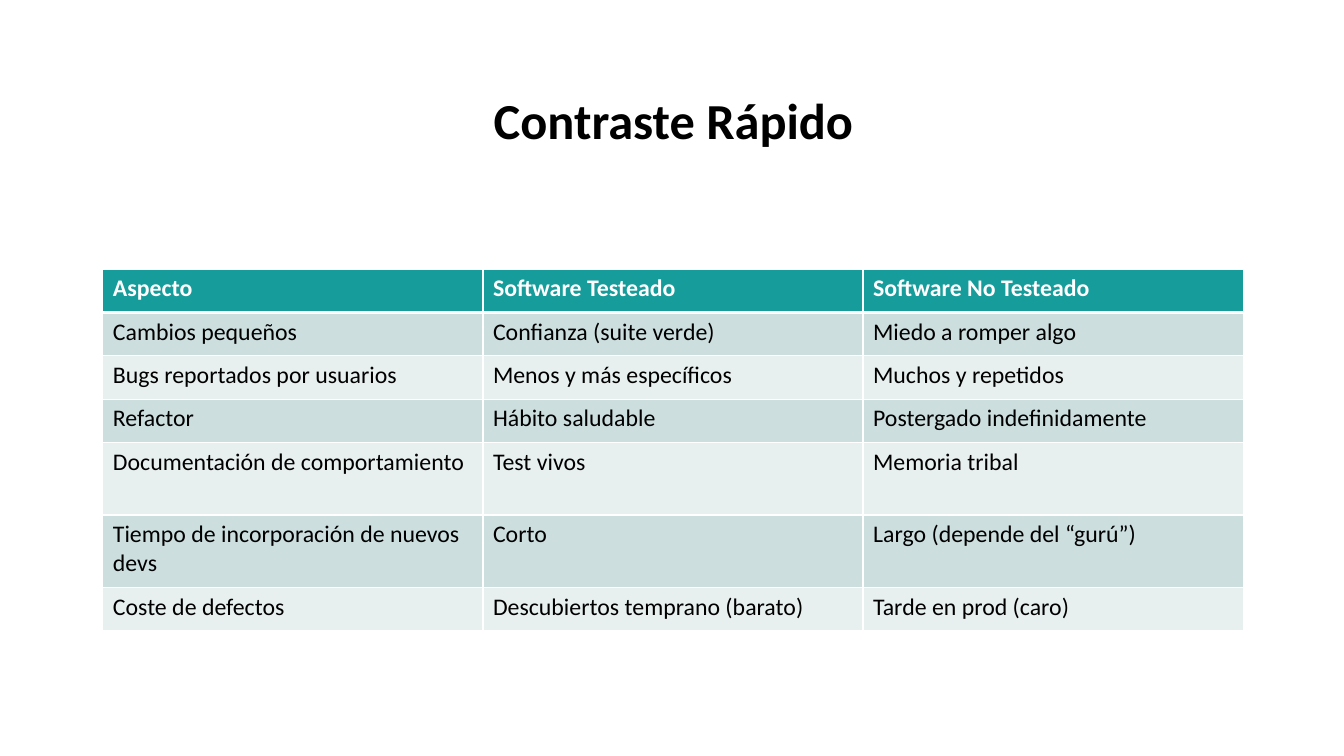
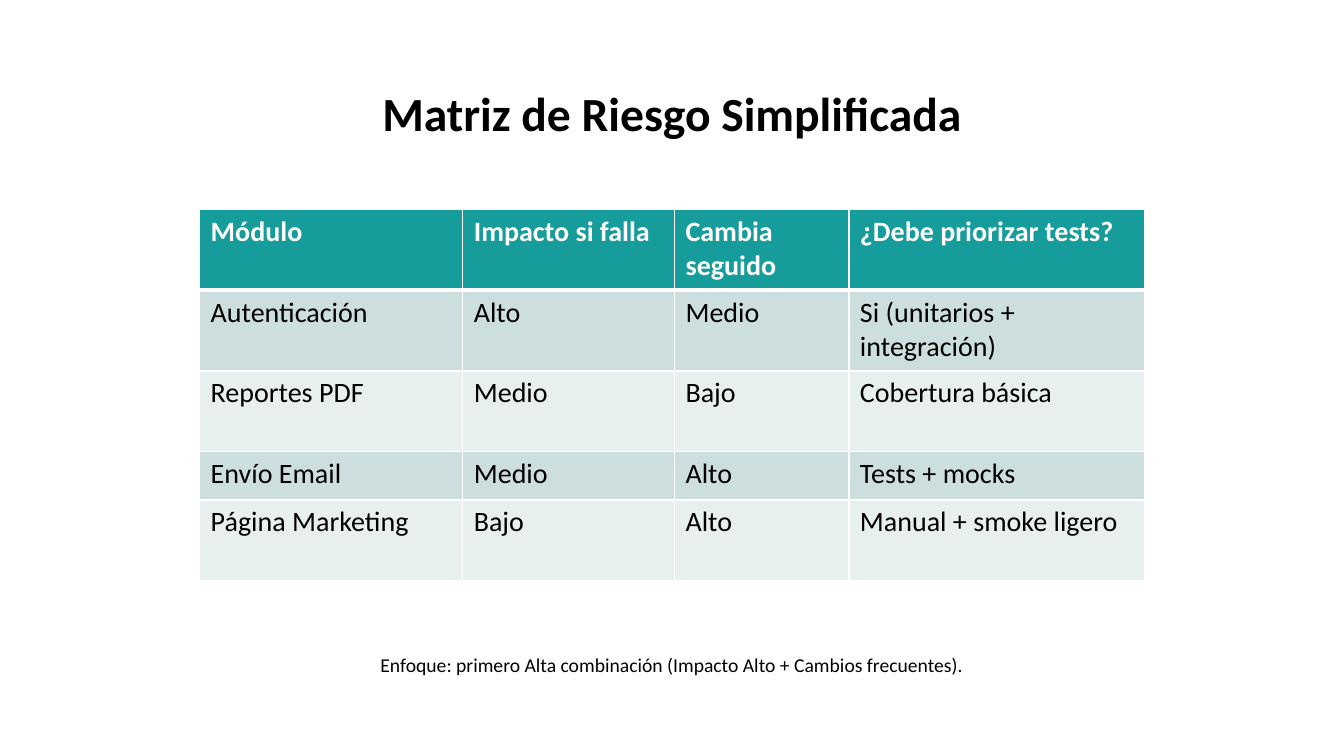
from pptx import Presentation
from pptx.dml.color import RGBColor
from pptx.enum import text
from pptx.oxml import parse_xml
from pptx.oxml.ns import nsdecls
from pptx.util import Inches, Pt

FONT = "Calibri"
BLACK = RGBColor(0x00, 0x00, 0x00)
WHITE = RGBColor(0xFF, 0xFF, 0xFF)
TEAL = RGBColor(0x16, 0x9C, 0x9A)
BANDS = (RGBColor(0xCC, 0xDE, 0xDE), RGBColor(0xE8, 0xEF, 0xEF))
THIN, THICK = Pt(1), Pt(3)

# Content: boxes are left, top, width, height in inches
SLIDES = [
    {
        "title": "Contraste Rápido",
        "title_box": (1.67, 0.6, 10.02, 1.24),
        "title_size": 36,
        "title_anchor": text.MSO_ANCHOR.MIDDLE,
        "table_at": (1.02, 2.67),
        "columns": [3.77] * 3,
        "heights": [0.43, 0.43, 0.43, 0.43, 0.72, 0.72, 0.43],
        "table_size": 17,
        "inset": 0.1,
        "rows": [
            ("Aspecto", "Software Testeado", "Software No Testeado"),
            ("Cambios pequeños", "Confianza (suite verde)", "Miedo a romper algo"),
            ("Bugs reportados por usuarios", "Menos y más específicos", "Muchos y repetidos"),
            ("Refactor", "Hábito saludable", "Postergado indefinidamente"),
            ("Documentación de comportamiento", "Test vivos", "Memoria tribal"),
            ("Tiempo de incorporación de nuevos devs", "Corto", "Largo (depende del “gurú”)"),
            ("Coste de defectos", "Descubiertos temprano (barato)", "Tarde en prod (caro)"),
        ],
    },
    {
        "title": "Matriz de Riesgo Simplificada",
        "title_box": (3.07, 0.39, 7.19, 1.07),
        "title_size": 34,
        "title_anchor": text.MSO_ANCHOR.BOTTOM,
        "note": "Enfoque: primero Alta combinación (Impacto Alto + Cambios frecuentes).",
        "note_box": (3.07, 6.4, 7.19, 0.61),
        "table_at": (1.98, 2.08),
        "columns": [2.61, 2.1, 1.73, 2.93],
        "heights": [0.8, 0.8, 0.8, 0.48, 0.8],
        "table_size": 20,
        "inset": 0.11,
        "rows": [
            ("Módulo", "Impacto si falla", "Cambia seguido", "¿Debe priorizar tests?"),
            ("Autenticación", "Alto", "Medio", "Si (unitarios + integración)"),
            ("Reportes PDF", "Medio", "Bajo", "Cobertura básica"),
            ("Envío Email", "Medio", "Alto", "Tests + mocks"),
            ("Página Marketing", "Bajo", "Alto", "Manual + smoke ligero"),
        ],
    },
]


def write(frame, words, size, color=BLACK, bold=False):
    paragraph = frame.paragraphs[0]
    run = paragraph.add_run()
    run.text = words
    run.font.name, run.font.size = FONT, Pt(size)
    run.font.color.rgb, run.font.bold = color, bold
    return paragraph


def write_centred(frame, words, size, spacing, bold=False):
    frame.word_wrap = True
    paragraph = write(frame, words, size, bold=bold)
    paragraph.alignment = text.PP_ALIGN.CENTER
    paragraph.line_spacing = spacing


def add_title(slide, content):
    title = slide.shapes.title
    title.left, title.top, title.width, title.height = map(Inches, content["title_box"])
    title.text_frame.vertical_anchor = content["title_anchor"]
    write_centred(title.text_frame, content["title"], content["title_size"], 0.9, bold=True)


def add_borders(cell, row):
    # The rule under the header is shared with the top of the first body row
    widths = {
        "lnL": THIN,
        "lnR": THIN,
        "lnT": THICK if row == 1 else THIN,
        "lnB": THICK if row == 0 else THIN,
    }
    properties = cell._tc.get_or_add_tcPr()
    for side, width in widths.items():
        properties.append(parse_xml(
            f'<a:{side} {nsdecls("a")} w="{int(width)}"><a:solidFill>'
            f'<a:srgbClr val="{WHITE}"/></a:solidFill></a:{side}>'))


def add_grid(slide, content):
    rows, columns, heights = content["rows"], content["columns"], content["heights"]
    left, top = content["table_at"]
    grid = slide.shapes.add_table(
        len(rows), len(columns), Inches(left), Inches(top),
        Inches(sum(columns)), Inches(sum(heights))).table
    for column, width in zip(grid.columns, columns):
        column.width = Inches(width)
    for r, (entries, height) in enumerate(zip(rows, heights)):
        grid.rows[r].height = Inches(height)
        header = r == 0
        for c, entry in enumerate(entries):
            cell = grid.cell(r, c)
            cell.margin_left = cell.margin_right = Inches(content["inset"])
            cell.margin_top = cell.margin_bottom = Inches(0.05)
            add_borders(cell, r)
            cell.fill.solid()
            cell.fill.fore_color.rgb = TEAL if header else BANDS[(r - 1) % 2]
            write(cell.text_frame, entry, content["table_size"],
                  WHITE if header else BLACK, bold=header)


def main():
    deck = Presentation()
    deck.slide_width, deck.slide_height = Inches(13.33), Inches(7.5)
    title_only = deck.slide_layouts[5]
    for content in SLIDES:
        slide = deck.slides.add_slide(title_only)
        add_title(slide, content)
        if "note" in content:
            note = slide.shapes.add_textbox(*map(Inches, content["note_box"]))
            write_centred(note.text_frame, content["note"], 14, 1.1)
        add_grid(slide, content)
    deck.save("out.pptx")


if __name__ == "__main__":
    main()
